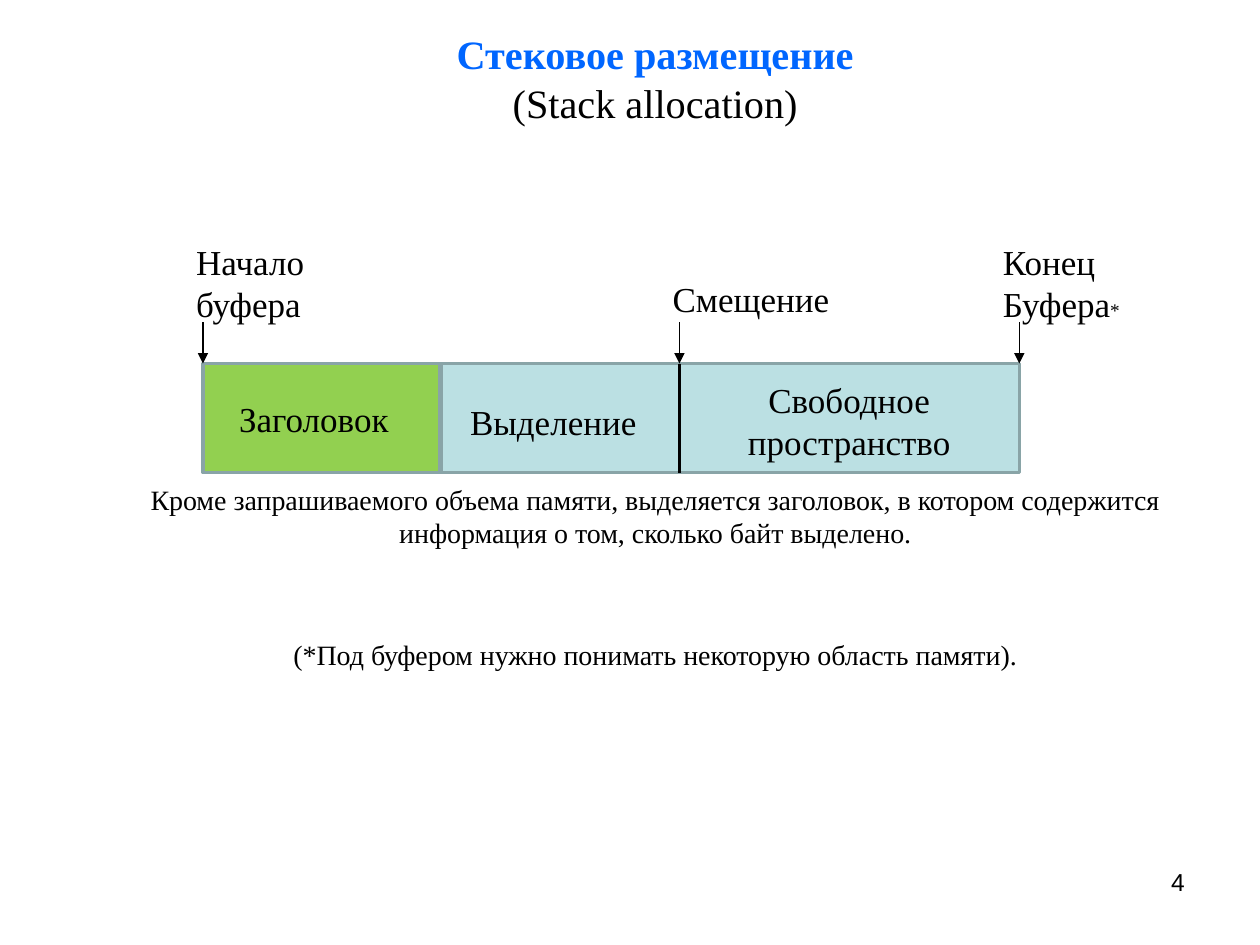
from dataclasses import dataclass

from lxml import etree
from pptx import Presentation
from pptx.dml.color import RGBColor
from pptx.enum.shapes import MSO_CONNECTOR, MSO_SHAPE
from pptx.enum.text import MSO_ANCHOR, PP_ALIGN
from pptx.oxml.ns import qn
from pptx.util import Pt

RECTANGLE = MSO_SHAPE.RECTANGLE
STRAIGHT = MSO_CONNECTOR.STRAIGHT
TOP = MSO_ANCHOR.TOP
LEFT, CENTER, RIGHT = PP_ALIGN.LEFT, PP_ALIGN.CENTER, PP_ALIGN.RIGHT
TITLE_ONLY = 5


@dataclass(frozen=True)
class Theme:
    """Colours, fonts and type sizes of the slide."""
    ink: RGBColor = RGBColor(0x00, 0x00, 0x00)
    accent: RGBColor = RGBColor(0x00, 0x66, 0xFF)
    header: RGBColor = RGBColor(0x92, 0xD0, 0x50)
    memory: RGBColor = RGBColor(0xBB, 0xE0, 0xE3)
    border: RGBColor = RGBColor(0x89, 0xA4, 0xA7)
    serif: str = "Times New Roman"
    sans: str = "Arial"
    title: int = 23
    label: int = 20
    body: int = 16
    page: int = 14
    mark: int = 11


THEME = Theme()


@dataclass(frozen=True)
class Box:
    """A rectangle in points."""
    left: float
    top: float
    width: float
    height: float

    def inner(self, left, top, width, height):
        """Return a box placed relative to this one."""
        return Box(self.left + left, self.top + top, width, height)

    def lengths(self):
        """Return the four sides as slide lengths."""
        return [Pt(side) for side in (self.left, self.top, self.width, self.height)]


def style(paragraph, size, align=LEFT, color=THEME.ink, face=THEME.serif, bold=False):
    """Set the alignment and font of a paragraph."""
    paragraph.alignment = align
    font = paragraph.font
    font.name, font.size, font.bold = face, Pt(size), bold
    font.color.rgb = color


def add_text(slide, box, lines, size, align=LEFT, face=THEME.serif):
    """Add a wrapped text box and return its paragraphs."""
    frame = slide.shapes.add_textbox(*box.lengths()).text_frame
    frame.word_wrap = True
    frame.text = "\n".join(lines)
    for paragraph in frame.paragraphs:
        style(paragraph, size, align, face=face)
    return frame.paragraphs


def add_segment(slide, box, fill):
    """Add one bordered block of memory."""
    segment = slide.shapes.add_shape(RECTANGLE, *box.lengths())
    segment.shadow.inherit = False
    segment.fill.solid()
    segment.fill.fore_color.rgb = fill
    segment.line.color.rgb = THEME.border
    segment.line.width = Pt(2)


def add_vertical(slide, x, top, bottom, width, arrow=False):
    """Add a vertical line, with an arrowhead at its foot if asked."""
    line = slide.shapes.add_connector(STRAIGHT, Pt(x), Pt(top), Pt(x), Pt(bottom))
    line.line.color.rgb = THEME.ink
    line.line.width = Pt(width)
    if arrow:
        etree.SubElement(line.line._get_or_add_ln(), qn("a:tailEnd"), type="triangle")
    etree.SubElement(line._element.spPr, qn("a:effectLst"))


def fill_title(slide, box):
    """Place the two-line title in its placeholder."""
    title = slide.shapes.title
    title.left, title.top, title.width, title.height = box.lengths()
    frame = title.text_frame
    frame.vertical_anchor = TOP
    frame.margin_top = frame.margin_bottom = 0
    frame.text = "Стековое размещение\n(Stack allocation)"
    name, translation = frame.paragraphs
    style(name, THEME.title, CENTER, THEME.accent, bold=True)
    style(translation, THEME.title, CENTER)


def draw_buffer(slide, box):
    """Draw the buffer with its segments, pointers and labels."""
    bar_top, header_width, offset = 74, 135.5, 272.25
    bar_height = box.height - bar_top
    add_segment(slide, box.inner(header_width + 0.5, bar_top, box.width - header_width - 0.5,
                                 bar_height), THEME.memory)
    add_segment(slide, box.inner(0, bar_top, header_width, bar_height), THEME.header)
    bar_y = box.top + bar_top
    for x in (0, offset, box.width):
        add_vertical(slide, box.left + x, bar_y - 23.5, bar_y, 0.75, arrow=True)
    add_vertical(slide, box.left + offset, bar_y, bar_y + bar_height, 1.5)

    labels = (
        (-11, 0, 90, ("Начало", "буфера"), LEFT),
        (offset - 11, 21.5, 115, ("Смещение",), LEFT),
        (13.5, 90, 120, ("Заголовок",), LEFT),
        (145.5, 91.5, 120, ("Выделение",), LEFT),
        (288.5, 79, 161.5, ("Свободное", "пространство"), CENTER),
    )
    for left, top, width, lines, align in labels:
        add_text(slide, box.inner(left, top, width, 31.5 if len(lines) == 1 else 55.5),
                 lines, THEME.label, align)
    end = add_text(slide, box.inner(450, 0, 90, 55.5), ("Конец", "Буфера"), THEME.label)
    asterisk = end[-1].add_run()
    asterisk.text = "*"
    asterisk.font.size = Pt(THEME.mark)


def add_remarks(slide, box):
    """Add the explanation and the footnote under the buffer."""
    add_text(slide, box.inner(0, 0, box.width, 46),
             ["Кроме запрашиваемого объема памяти, выделяется заголовок, в котором содержится "
              "информация о том, сколько байт выделено."], THEME.body, CENTER)
    add_text(slide, box.inner(0, 89, box.width, 27),
             ["(*Под буфером нужно понимать некоторую область памяти)."], THEME.body, CENTER)


def add_page_number(slide, box):
    """Add the page number at the right."""
    add_text(slide, box, ["4"], THEME.page, RIGHT, THEME.sans)


def main():
    """Build and save the slide."""
    deck = Presentation()
    deck.slide_width, deck.slide_height = Pt(720), Pt(540)
    slide = deck.slides.add_slide(deck.slide_layouts[TITLE_ONLY])
    fill_title(slide, Box(50.5, 17, 648, 56))
    draw_buffer(slide, Box(116, 133.75, 466.5, 136.25))
    add_remarks(slide, Box(66.5, 272, 616, 116))
    add_page_number(slide, Box(516, 491.75, 168, 37.5))
    deck.save("out.pptx")


if __name__ == "__main__":
    main()
